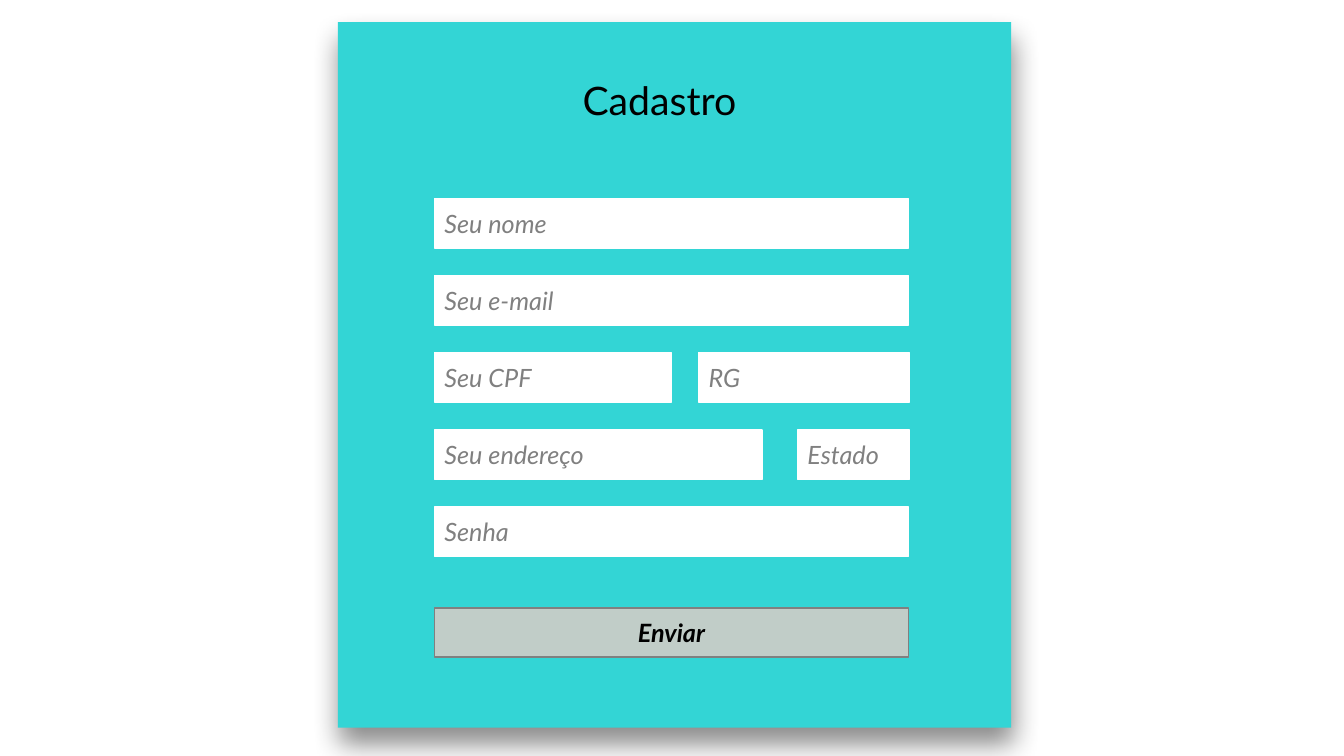
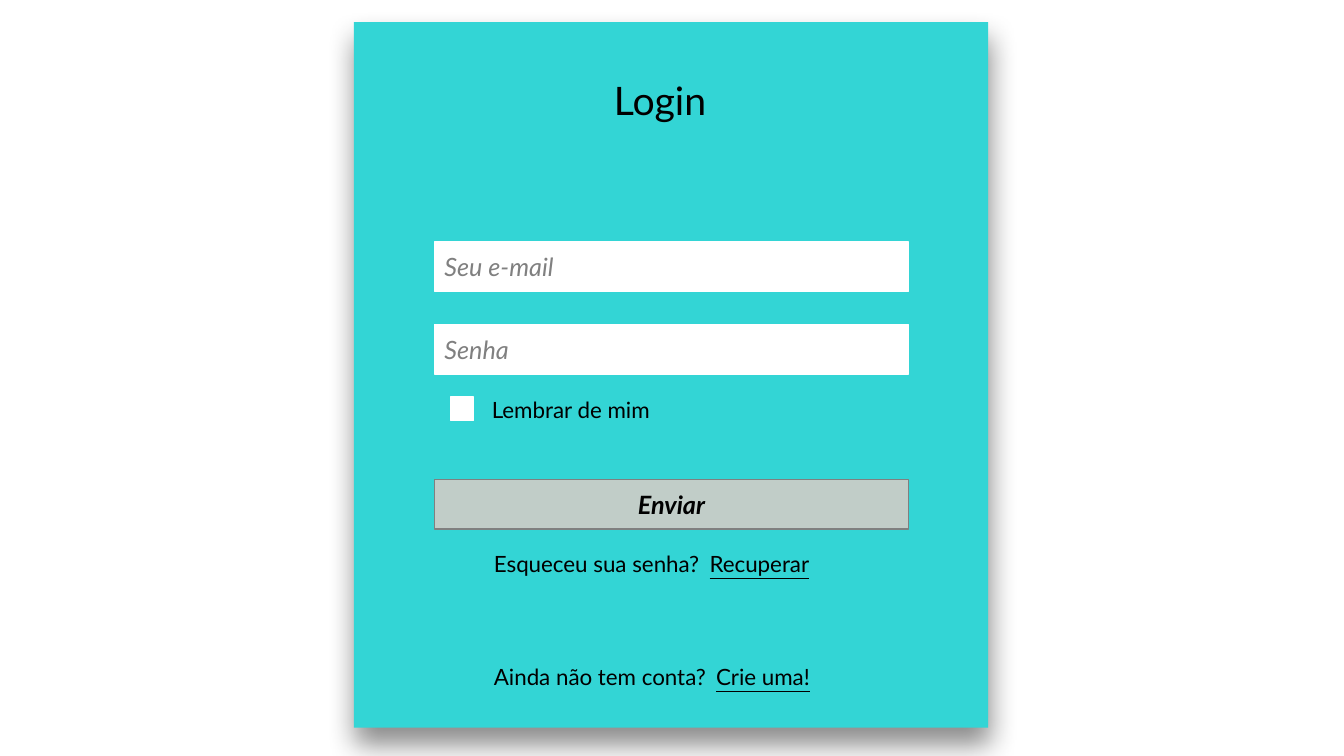
from dataclasses import dataclass

from lxml import etree
from pptx import Presentation
from pptx.dml.color import RGBColor
from pptx.enum.shapes import MSO_SHAPE
from pptx.enum.text import MSO_ANCHOR, MSO_AUTO_SIZE, PP_ALIGN
from pptx.oxml.ns import qn
from pptx.shapes.autoshape import Shape
from pptx.slide import Slide
from pptx.text.text import _Run
from pptx.util import Inches, Pt

RECT = MSO_SHAPE.RECTANGLE
MIDDLE = MSO_ANCHOR.MIDDLE
GROW = MSO_AUTO_SIZE.SHAPE_TO_FIT_TEXT
LEFT, CENTER = PP_ALIGN.LEFT, PP_ALIGN.CENTER


@dataclass(frozen=True)
class Theme:
    font: str = "Lato"
    panel: str = "33D5D5"
    field: str = "FFFFFF"
    button: str = "C1CDC8"
    hint: str = "808080"
    ink: str = "000000"
    title: int = 28
    label: int = 18
    note: int = 16


@dataclass(frozen=True)
class Box:
    left: float
    top: float
    width: float
    height: float


@dataclass(frozen=True)
class Field:
    text: str
    row: int
    left: float
    width: float


THEME = Theme()
EDGE, WIDE, TALL = 4.31, 4.7, 0.49
NOTE_TALL = 0.37

SIGNUP = (
    Field("Seu nome", 0, EDGE, WIDE),
    Field("Seu e-mail", 1, EDGE, WIDE),
    Field("Seu CPF", 2, EDGE, 2.35),
    Field("RG", 2, 6.93, 2.09),
    Field("Seu endereço", 3, EDGE, 3.25),
    Field("Estado", 3, 7.91, 1.11),
    Field("Senha", 4, EDGE, WIDE),
)
LOGIN = (
    Field("Seu e-mail", 0, EDGE, WIDE),
    Field("Senha", 1, EDGE, WIDE),
)
LINKS = (
    (5.41, "Esqueceu sua senha?", "Recuperar"),
    (6.53, "Ainda não tem conta?", "Crie uma!"),
)


def style(run: _Run, size: int, color: str) -> None:
    run.font.name = THEME.font
    run.font.size = Pt(size)
    run.font.color.rgb = RGBColor.from_string(color)


def add_rect(slide: Slide, box: Box, fill: str, line: str = "") -> Shape:
    rect = slide.shapes.add_shape(
        RECT, Inches(box.left), Inches(box.top), Inches(box.width), Inches(box.height)
    )
    rect.shadow.inherit = False
    rect.fill.solid()
    rect.fill.fore_color.rgb = RGBColor.from_string(fill)
    if line:
        rect.line.color.rgb = RGBColor.from_string(line)
        rect.line.width = Pt(1)
    else:
        rect.line.fill.background()
    return rect


def add_panel(slide: Slide, left: float, width: float) -> None:
    """Draw the coloured card with its soft shadow below."""
    panel = add_rect(slide, Box(left, 0.22, width, 7), THEME.panel)
    effects = panel._element.spPr.find(qn("a:effectLst"))
    shadow = etree.SubElement(
        effects, qn("a:outerShdw"), blurRad=str(Pt(20)), dist=str(Pt(12)),
        dir=str(83 * 60000), algn="ctr", rotWithShape="0",
    )
    color = etree.SubElement(shadow, qn("a:srgbClr"), val=THEME.ink)
    etree.SubElement(color, qn("a:alpha"), val="45000")


def label(rect: Shape, text: str, color: str, bold: bool, align: PP_ALIGN) -> None:
    frame = rect.text_frame
    frame.text = text
    frame.vertical_anchor = MIDDLE
    para = frame.paragraphs[0]
    para.alignment = align
    run = para.runs[0]
    style(run, THEME.label, color)
    run.font.italic = True
    run.font.bold = bold


def add_fields(slide: Slide, fields: tuple[Field, ...], top: float, pitch: float) -> None:
    for field in fields:
        box = Box(field.left, top + field.row * pitch, field.width, TALL)
        rect = add_rect(slide, box, THEME.field, THEME.field)
        label(rect, field.text, THEME.hint, False, LEFT)


def add_button(slide: Slide, top: float) -> None:
    rect = add_rect(slide, Box(EDGE, top, WIDE, TALL), THEME.button, THEME.hint)
    label(rect, "Enviar", THEME.ink, True, CENTER)


def add_text(slide: Slide, box: Box, text: str, size: int) -> Shape:
    area = slide.shapes.add_textbox(
        Inches(box.left), Inches(box.top), Inches(box.width), Inches(box.height)
    )
    frame = area.text_frame
    frame.text = text
    frame.word_wrap = True
    frame.auto_size = GROW
    style(frame.paragraphs[0].runs[0], size, THEME.ink)
    return area


def add_link(slide: Slide, top: float, text: str, link: str) -> None:
    """Write a question, a widened space and an underlined answer."""
    area = add_text(slide, Box(4.8, top, 3.72, NOTE_TALL), text, THEME.note)
    para = area.text_frame.paragraphs[0]
    gap, end = para.add_run(), para.add_run()
    gap.text, end.text = " ", link
    for run in (gap, end):
        style(run, THEME.note, THEME.ink)
    gap.font._element.set("spc", "310")
    end.font.underline = True


def add_title(slide: Slide, text: str, left: float, width: float) -> None:
    add_text(slide, Box(left, 0.71, width, 0.57), text, THEME.title)


def draw_signup(slide: Slide) -> None:
    add_panel(slide, 3.35, 6.68)
    add_title(slide, "Cadastro", 5.68, 1.81)
    first, last = 1.97, 5.03
    add_fields(slide, SIGNUP, first, (last - first) / SIGNUP[-1].row)
    add_button(slide, 6.03)


def draw_login(slide: Slide) -> None:
    add_panel(slide, 3.51, 6.29)
    add_title(slide, "Login", 5.99, 1.2)
    add_fields(slide, LOGIN, 2.4, 0.82)
    add_rect(slide, Box(4.47, 3.94, 0.23, 0.23), THEME.field, THEME.field)
    add_text(slide, Box(4.78, 3.88, 2.96, NOTE_TALL), "Lembrar de mim", THEME.note)
    add_button(slide, 4.76)
    for top, text, link in LINKS:
        add_link(slide, top, text, link)


def main() -> None:
    deck = Presentation()
    deck.slide_width, deck.slide_height = Inches(13.33), Inches(7.5)
    blank = deck.slide_layouts[6]
    for draw in (draw_signup, draw_login):
        draw(deck.slides.add_slide(blank))
    deck.save("out.pptx")


if __name__ == "__main__":
    main()
